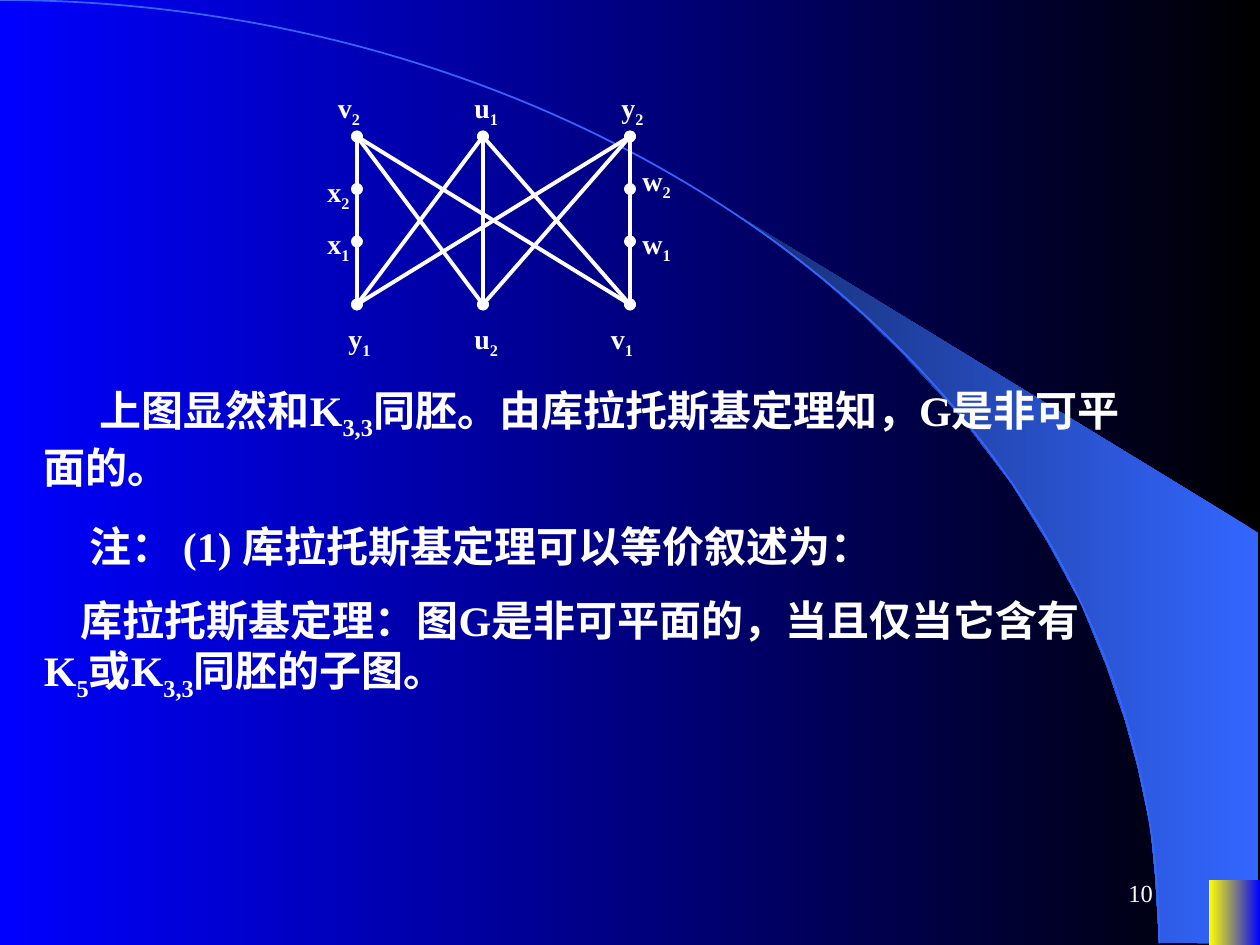
from itertools import pairwise, product

from lxml.etree import SubElement
from pptx import Presentation
from pptx.dml.color import RGBColor
from pptx.enum.shapes import MSO_CONNECTOR, MSO_SHAPE
from pptx.enum.text import MSO_ANCHOR, MSO_AUTO_SIZE, PP_ALIGN
from pptx.oxml.ns import qn
from pptx.util import Pt

COLORS = {
    "text": "FFFFFF",
    "black": "000000",
    "blue": "0000FF",
    "yellow": "FFFF00",
    "arc": "3366FF",
    "sweep": "172F75",
}
FONT = "Times New Roman"

SWEEP = [
    (662.4, 538.6), (719.3, 539.3), (719.3, 304.6), (424.1, 124.6),
    (449.3, 143.3), (470.2, 159.8), (493.2, 180), (515.5, 201.6),
    (548.6, 237.6), (578.2, 276.5), (599, 310.3), (617.8, 344.9),
    (632.2, 380.2), (643, 411.8), (650.2, 438.5), (657.4, 472.3),
    (660.2, 501.1),
]

LEFT, MIDDLE, RIGHT = COLUMNS = (204, 276, 360)
TOP, BOTTOM = 78, 174
SUBDIVIDED = [TOP, 108, 138, BOTTOM]

VERTEX_LABELS = [
    ("u", "1", 264, 48), ("u", "2", 264, 180),
    ("v", "1", 342, 180), ("v", "2", 186, 48),
    ("y", "1", 192, 180), ("y", "2", 348, 48),
    ("x", "1", 180, 126), ("x", "2", 180, 96),
    ("w", "1", 360, 126), ("w", "2", 360, 90),
]

STATEMENTS = [
    ((18, 216, 630, 69), 32, [
        ("上图显然和K", False), ("3,3", True),
        ("同胚。由库拉托斯基定理知，G是非可平面的。", False)]),
    ((12, 294, 630, 36), 32, [
        ("注： (1) 库拉托斯基定理可以等价叙述为：", False)]),
    ((18, 336, 612, 69), 21, [
        ("库拉托斯基定理：图G是非可平面的，当且仅当它含有K", False),
        ("5", True), ("或K", False), ("3,3", True),
        ("同胚的子图。", False)]),
]


def color(name):
    return RGBColor.from_string(COLORS[name])


def set_gradient(fill, first, last):
    fill.gradient()
    fill.gradient_angle = 180
    for stop, name in zip(fill.gradient_stops, (first, last)):
        stop.color.rgb = color(name)


def add_sweep(page):
    points = [(Pt(x), Pt(y)) for x, y in SWEEP]
    builder = page.shapes.build_freeform(*points[0], scale=1.0)
    builder.add_line_segments(points[1:], close=True)
    sweep = builder.convert_to_shape()
    sweep.shadow.inherit = False
    set_gradient(sweep.fill, "arc", "sweep")
    sweep.line.fill.background()


def add_arc(page):
    arc = page.shapes.add_shape(
        MSO_SHAPE.ARC, Pt(-662.4), Pt(0), Pt(1324.8), Pt(1078))
    arc.shadow.inherit = False
    arc.fill.background()
    arc.line.color.rgb = color("arc")
    arc.line.width = Pt(1)


def add_corner(page):
    corner = page.shapes.add_shape(
        MSO_SHAPE.RECTANGLE, Pt(691), Pt(502.6), Pt(29), Pt(37.4))
    corner.shadow.inherit = False
    set_gradient(corner.fill, "blue", "yellow")
    corner.line.fill.background()


def add_text(page, bounds, spans, size, bold=True, indent=0):
    box = page.shapes.add_textbox(*(Pt(length) for length in bounds))
    box.text_frame.word_wrap = True
    box.text_frame.auto_size = MSO_AUTO_SIZE.SHAPE_TO_FIT_TEXT
    para = box.text_frame.paragraphs[0]
    if indent:
        para._p.get_or_add_pPr().set("indent", str(Pt(indent)))
    for text, subscript in spans:
        span = para.add_run()
        span.text = text
        span.font.name = FONT
        span.font.size = Pt(size)
        span.font.bold = bold
        span.font.color.rgb = color("text")
        if subscript:
            span._r.get_or_add_rPr().set("baseline", "-25000")
    return box


def add_edge(page, start, end):
    edge = page.shapes.add_connector(
        MSO_CONNECTOR.STRAIGHT, *(Pt(length) for length in start + end))
    edge.line.color.rgb = color("text")
    edge.line.width = Pt(2.25)
    outline = edge.line._get_or_add_ln()
    for tag in ("a:headEnd", "a:tailEnd"):
        SubElement(outline, qn(tag), type="oval")
    SubElement(edge._element.spPr, qn("a:effectLst"))


def add_graph(page):
    for letter, index, left, top in VERTEX_LABELS:
        width = 36 if letter == "w" else 31
        add_text(page, (left, top, width, 29.5),
                 [(letter, False), (index, True)], 16)
    for upper, lower in product(COLUMNS, repeat=2):
        if upper == lower != MIDDLE:
            for start, end in pairwise(SUBDIVIDED):
                add_edge(page, (upper, start), (upper, end))
        else:
            add_edge(page, (upper, TOP), (lower, BOTTOM))


def add_page_number(page):
    box = add_text(page, (516, 492, 150, 36), [("10", False)], 14, bold=False)
    box.text_frame.auto_size = MSO_AUTO_SIZE.NONE
    box.text_frame.vertical_anchor = MSO_ANCHOR.MIDDLE
    box.text_frame.paragraphs[0].alignment = PP_ALIGN.RIGHT


def main():
    deck = Presentation()
    deck.slide_width, deck.slide_height = Pt(720), Pt(540)
    page = deck.slides.add_slide(deck.slide_layouts[6])
    set_gradient(page.background.fill, "black", "blue")
    add_sweep(page)
    add_arc(page)
    add_corner(page)
    add_graph(page)
    for bounds, indent, spans in STATEMENTS:
        add_text(page, bounds, spans, 24, indent=indent)
    add_page_number(page)
    deck.save("out.pptx")


if __name__ == "__main__":
    main()
